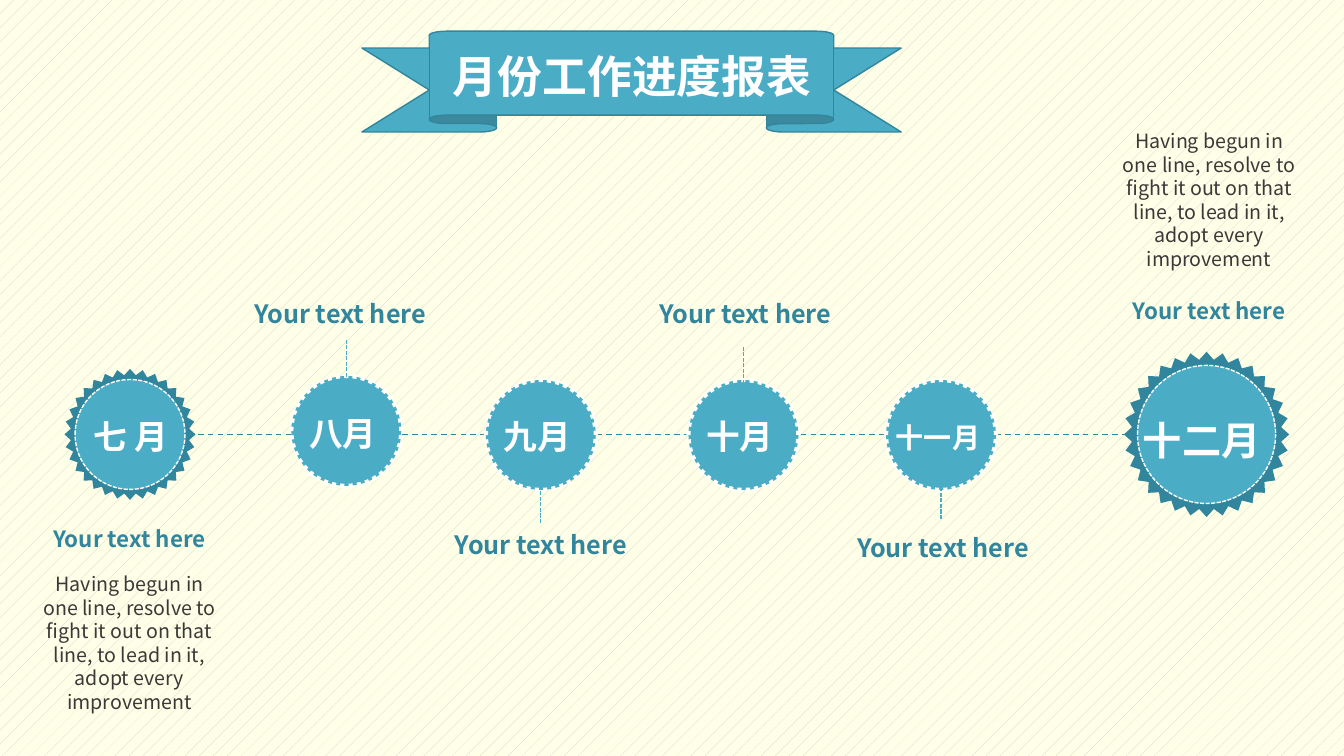
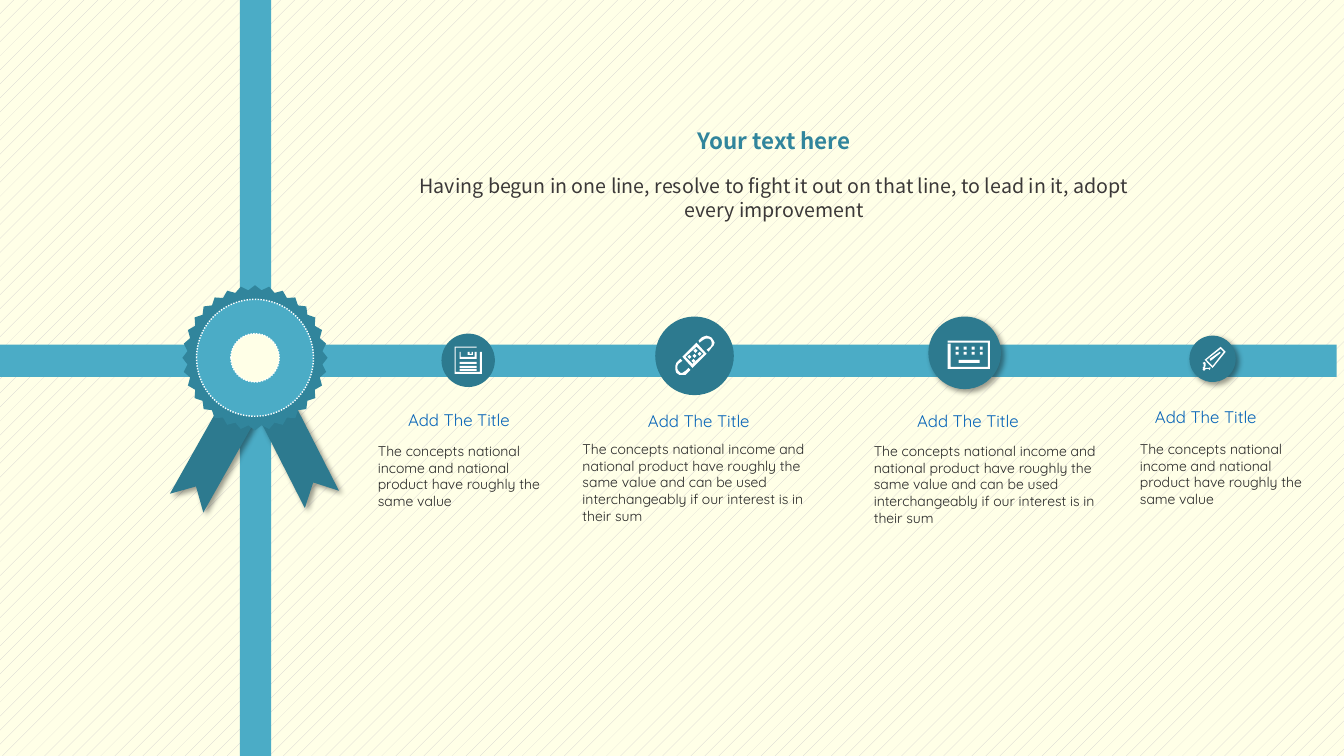
from lxml import etree
from pptx import Presentation
from pptx.dml.color import RGBColor
from pptx.enum.dml import MSO_LINE, MSO_PATTERN
from pptx.enum.shapes import MSO_CONNECTOR, MSO_SHAPE
from pptx.enum.text import MSO_ANCHOR, MSO_AUTO_SIZE, PP_ALIGN
from pptx.oxml.ns import qn
from pptx.util import Inches, Pt

RECT, OVAL, STAR = MSO_SHAPE.RECTANGLE, MSO_SHAPE.OVAL, MSO_SHAPE.STAR_32_POINT
RIBBON, ARROW, GEM = MSO_SHAPE.UP_RIBBON, MSO_SHAPE.CHEVRON, MSO_SHAPE.DIAMOND
DASH, FINE, DOT = MSO_LINE.DASH, MSO_LINE.SQUARE_DOT, MSO_LINE.ROUND_DOT
LEFT, MID = PP_ALIGN.LEFT, PP_ALIGN.CENTER
STRAIGHT = MSO_CONNECTOR.STRAIGHT

CELL = Inches(0.1)
COLS, ROWS = 133.33, 75
COLOR = {
    "blue": "4BACC6", "teal": "31859C", "deep": "2D7A8F", "white": "FFFFFF",
    "cream": "FFFFE7", "grey": "D0CECE", "text": "3B3838", "ink": "262626",
    "link": "0563B8",
}
CJK, ROUND = "Noto Sans CJK SC", "Quicksand"
FRAME = {
    "word_wrap": True, "auto_size": MSO_AUTO_SIZE.NONE,
    "vertical_anchor": MSO_ANCHOR.TOP,
}
STYLE = {
    "title": (32, True, "white", CJK, LEFT),
    "month": (24, True, "white", CJK, LEFT),
    "long": (20, True, "white", CJK, LEFT),
    "last": (28, True, "white", CJK, LEFT),
    "label": (18, True, "teal", CJK, MID),
    "head": (16, True, "teal", CJK, MID),
    "body": (14, False, "text", CJK, MID),
    "name": (12, False, "link", ROUND, LEFT),
    "note": (10, False, "ink", ROUND, LEFT),
}
HEAD = "Your text here"
BODY = ("Having begun in one line, resolve to fight it out on that line, "
        "to lead in it, adopt every improvement")
NAME = "Add The Title"
BRIEF = ("The concepts national income and national product have roughly "
         "the same value")
FULL = BRIEF + (" and can be used interchangeably if our interest is in "
                "their sum")

MONTHS = [
    ("八月", "month", (28.9, 37.3), (0.8, 3.2), (23.8, 29.1), 33.7),
    ("九月", "month", (48.2, 37.7), (0.8, 3.1), (43.7, 52), 48.2),
    ("十月", "month", (68.3, 37.7), (0.8, 3.1), (64, 29.1), 34.4),
    ("十一月", "long", (87.9, 37.7), (0, 3.5), (83.6, 52.3), 47.8),
]

DISK = {
    "paths": [
        [[(35, 25), (18, 25), (18, 18), (19, 18), (19, 23), (33, 23),
          (33, 18), (35, 18)]],
        [[(31, 21), (26, 21), (26, 18), (28, 18), (28, 20), (30, 20),
          (30, 18), (31, 18)]],
        [[(40, 40), (13, 40), (13, 13), (35, 13), (35, 14), (14, 14),
          (14, 38), (38, 38), (38, 18), (40, 18)]],
    ],
    "parts": [(RECT, 18, y, 17, 2) for y in (28, 32, 35)],
}
PATCH = {
    "paths": [
        [[(37, 51), (27, 40), (41, 26), (51, 37)],
         [(30, 40), (37, 47), (48, 37), (41, 30)]],
        [[(27, 58), (24, 57.5), (21, 56), (19.5, 53), (19.5, 49), (21, 46),
          (25, 42), (27, 44), (23, 47), (22, 49), (22, 52), (23, 54),
          (25, 55.5), (27, 56), (30, 54), (33, 51), (35, 53), (32, 56),
          (30, 57.5)]],
        [[(53, 35), (51, 33), (55, 30), (56, 28), (56, 25), (55, 23),
          (53, 21.5), (50, 21.5), (48, 23), (44, 26), (43, 24), (46, 21),
          (48.5, 19.5), (51, 19), (54, 19.5), (56, 21), (58.5, 23.5),
          (59, 26), (58.5, 29), (56, 31)]],
    ],
    "parts": [(GEM, x, y, 4, 4) for x, y in
              [(32, 38), (37, 37), (38, 32), (36, 42), (42, 35)]],
}
BOARD = {
    "paths": [
        [[(61, 52), (19, 52), (19, 27), (22, 27), (22, 50), (59, 50),
          (59, 26), (19, 26), (19, 24), (61, 24)]],
    ],
    "parts": [(RECT, x, y, 3, 3) for y in (30, 35)
              for x in range(27, 52, 8)] + [(RECT, 30, 43, 21, 3)],
}
PEN = {
    "paths": [
        [[(23, 32), (15, 24), (31, 11), (36, 16)],
         [(17, 24), (23, 30), (34, 16), (31, 13)]],
        [[(21, 25), (20, 23), (30, 16), (31, 17)]],
        [[(15, 34), (13, 32), (14, 31), (14.5, 29.5), (14, 28), (13, 27),
          (15, 26), (16, 27), (15.5, 28), (16, 30), (15, 32), (17.5, 31.5),
          (20, 32), (20, 31), (21, 32), (20, 34), (19, 33), (16, 33)]],
    ],
    "parts": [(GEM, 13, 32, 3, 3)],
}
STOPS = [
    (DISK, (43.8, 33.1, 5.3), False, (39.5, 40.2),
     BRIEF, (36.5, 43.4, 19.1, 7.7)),
    (PATCH, (65, 31.4, 7.8), False, (63.3, 40.3),
     FULL, (56.8, 43.2, 25.8, 9.4)),
    (BOARD, (92.1, 31.4, 7.2), True, (90, 40.3),
     FULL, (85.7, 43.4, 25.8, 9.4)),
    (PEN, (118, 33.3, 4.6), True, (113.6, 39.9),
     BRIEF, (112.1, 43.2, 18.8, 7.7)),
]


def rgb(name):
    return RGBColor.from_string(COLOR[name])


def grid(*cells):
    return [round(n * CELL) for n in cells]


def stroke(line, color, width, dash):
    line.color.rgb = rgb(color)
    line.width = Pt(width)
    if dash:
        line.dash_style = dash


def paint(shape, fill, line=None):
    shape.shadow.inherit = False
    shape.fill.solid()
    shape.fill.fore_color.rgb = rgb(fill)
    if line:
        stroke(shape.line, *line)
    else:
        shape.line.fill.background()
    return shape


def form(shapes, kind, box, fill, line=None, adj=()):
    shape = shapes.add_shape(kind, *grid(*box))
    for i, value in enumerate(adj):
        shape.adjustments[i] = value
    return paint(shape, fill, line)


def shade(shape):
    glow = shape.element.spPr.find(qn("a:effectLst"))
    drop = etree.SubElement(glow, qn("a:outerShdw"), blurRad=str(Pt(4)),
                            dist=str(Pt(3)), dir="2700000", algn="tl",
                            rotWithShape="0")
    tint = etree.SubElement(drop, qn("a:srgbClr"), val="000000")
    etree.SubElement(tint, qn("a:alpha"), val="40000")


def link(shapes, start, end, color, dash):
    line = shapes.add_connector(STRAIGHT, *grid(*start, *end))
    stroke(line.line, color, 1, dash)
    etree.SubElement(line.element.spPr, qn("a:effectLst"))


def write(shape, *rows):
    frame = shape.text_frame
    for key, value in FRAME.items():
        setattr(frame, key, value)
    for i, (text, style, gap) in enumerate(rows):
        size, bold, color, face, align = STYLE[style]
        para = frame.add_paragraph() if i else frame.paragraphs[0]
        look = {"alignment": align, "line_spacing": Pt(size * 1.2),
                "space_before": Pt(gap)}
        for key, value in look.items():
            setattr(para, key, value)
        run = para.add_run()
        run.text = text
        run.font.color.rgb = rgb(color)
        for key, value in {"size": Pt(size), "bold": bold,
                           "name": face}.items():
            setattr(run.font, key, value)
        etree.SubElement(run.font._element, qn("a:ea"), typeface=face)


def label(shapes, box, *rows):
    write(shapes.add_textbox(*grid(*box)), *rows)


def place(shape, box, *rows):
    for key, value in zip(("left", "top", "width", "height"), grid(*box)):
        setattr(shape, key, value)
    write(shape, *rows)


def banner(slide, box, text):
    x, y, w, h = box
    form(slide.shapes, RIBBON, box, "blue", ("teal", 1, None), (0.167, 0.75))
    title = slide.shapes.title
    slide.shapes._spTree.append(title.element)
    place(title, (x + w * 0.15, y + h * 0.12, w * 0.74, h * 0.64),
          (text, "title", 0))


def seal(shapes, x, y, size, rim, adj, dash):
    group = shapes.add_group_shape().shapes
    form(group, STAR, (x, y, size, size), "teal", adj=(adj,))
    inner = size - 2 * rim
    form(group, OVAL, (x + rim, y + rim, inner, inner), "blue",
         ("white", 1, dash))
    return group


def month(shapes, text, style, spot, shift, tag, stem):
    x, y = spot
    size = 10.9
    group = shapes.add_group_shape().shapes
    form(group, OVAL, (x, y, size, size), "blue", ("white", 3, DOT))
    label(group, (x + shift[0], y + shift[1], 10.6, 5), (text, style, 0))
    label(shapes, (*tag, 19.9, 4), (HEAD, "label", 0))
    mid = x + size / 2
    link(shapes, (mid, stem + 3.7), (mid, stem), "blue", FINE)


def badge(shapes, x, y, size):
    for dx, dy, turn in ((-3.1, 13.7, 299.4), (3.8, 13.2, 243)):
        tail = form(shapes, ARROW, (x + dx, y + dy, 13.8, 3.8), "deep")
        tail.rotation = turn
        shade(tail)
    group = seal(shapes, x, y, size, 1.4, 0.467, DOT)
    hole = size / 3
    form(group, OVAL, (x + hole, y + hole, hole, hole), "cream",
         ("white", 1, DOT))


def icon(shapes, art, spot, drop):
    x, y, size = spot
    group = shapes.add_group_shape().shapes
    disc = form(group, OVAL, (x, y, size, size), "deep")
    if drop:
        shade(disc)
    for rings in art["paths"]:
        pen = group.build_freeform(*rings[0][0], scale=CELL / 10)
        for i, ring in enumerate(rings):
            if i:
                pen.move_to(*ring[0])
            pen.add_line_segments(ring[1:], close=True)
        paint(pen.convert_to_shape(*grid(x, y)), "white")
    for kind, dx, dy, w, h in art["parts"]:
        form(group, kind, (x + dx / 10, y + dy / 10, w / 10, h / 10), "white")


def stop(shapes, art, spot, drop, head, text, box):
    icon(shapes, art, spot, drop)
    label(shapes, (*head, 15.6, 3), (NAME, "name", 0))
    label(shapes, box, (text, "note", 0))


def report(deck):
    slide = deck.slides.add_slide(deck.slide_layouts[5])
    shapes = slide.shapes
    banner(slide, (35.9, 3.1, 53.5, 10), "月份工作进度报表")
    link(shapes, (12.9, 43.1), (120.6, 43.1), "teal", DASH)
    first = seal(shapes, 6.4, 36.6, 13, 1.05, 0.453, FINE)
    label(first, (8.3, 40.8, 9.7, 5), ("七 月", "month", 0))
    last = seal(shapes, 111.5, 34.9, 16.4, 1.35, 0.453, FINE)
    label(last, (112.4, 40.8, 15.9, 5.7), ("十二月", "last", 0))
    for row in MONTHS:
        month(shapes, *row)
    label(shapes, (3.1, 51.6, 19.5, 19.9), (HEAD, "head", 0),
          (BODY, "body", 14.4))
    label(shapes, (110.2, 12.3, 19.5, 20.5), (BODY, "body", 0),
          (HEAD, "head", 19.2))


def cross(deck):
    slide = deck.slides.add_slide(deck.slide_layouts[1])
    shapes = slide.shapes
    place(shapes.title, (39.9, 12.1, 73.8, 3.7), (HEAD, "head", 0))
    body = slide.placeholders[1]
    place(body, (39.9, 16.8, 73.8, 5.7), (BODY, "body", 0))
    props = body.text_frame.paragraphs[0]._p.get_or_add_pPr()
    props.set("marL", "0")
    props.set("indent", "0")
    etree.SubElement(props, qn("a:buNone"))
    form(shapes, RECT, (0, 34.2, COLS - 0.73, 3.2), "blue")
    form(shapes, RECT, (23.8, 0, 3.1, ROWS), "blue")
    badge(shapes, 18.1, 28.3, 14.4)
    for row in STOPS:
        stop(shapes, *row)


def main():
    deck = Presentation()
    deck.slide_width, deck.slide_height = grid(COLS, ROWS)
    fill = deck.slide_master.background.fill
    fill.patterned()
    fill.pattern = MSO_PATTERN.PERCENT_5
    fill.fore_color.rgb = rgb("grey")
    fill.back_color.rgb = rgb("cream")
    report(deck)
    cross(deck)
    deck.save("out.pptx")


if __name__ == "__main__":
    main()
